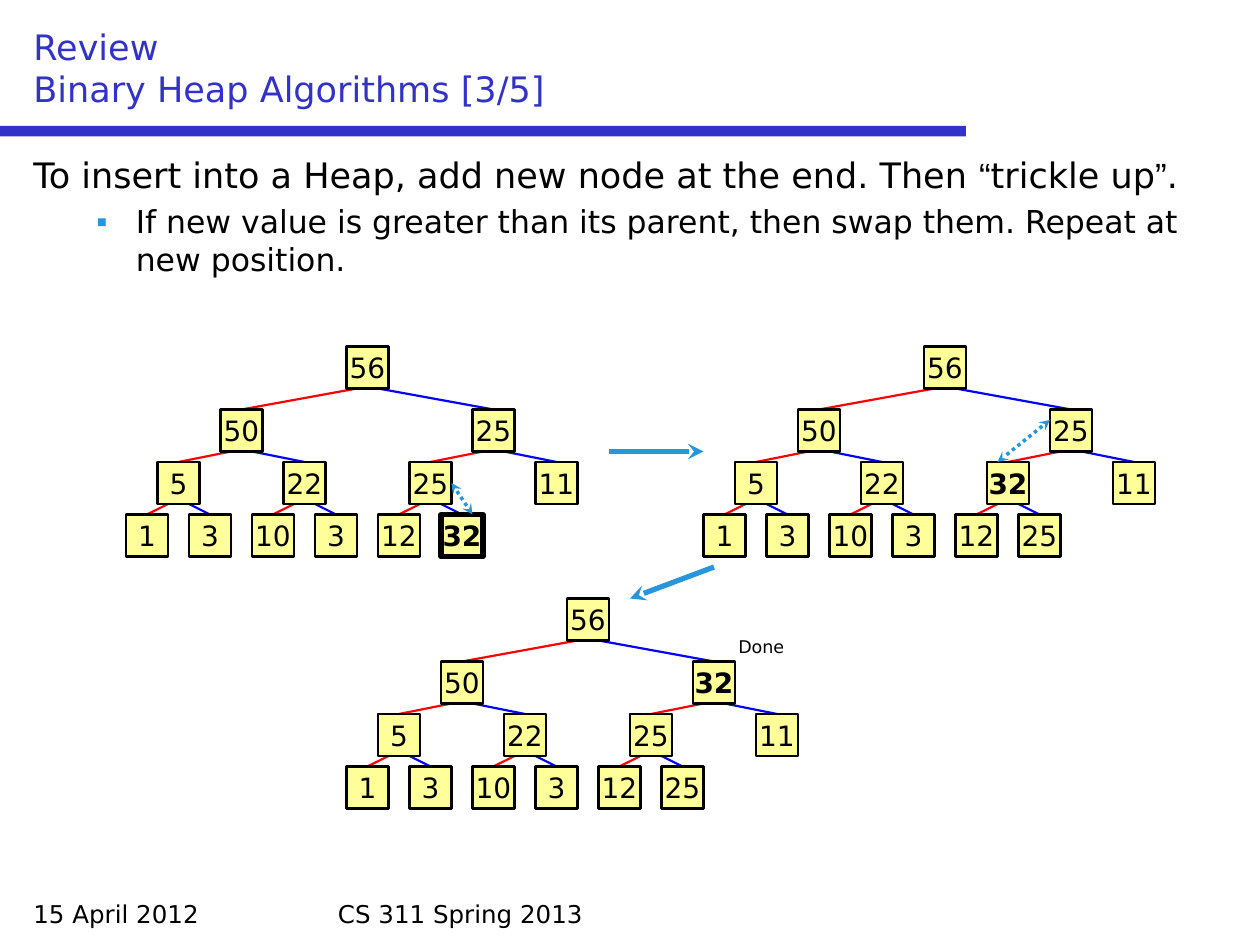
from pptx import Presentation
from pptx.dml.color import RGBColor
from pptx.enum.dml import MSO_LINE
from pptx.enum.shapes import MSO_CONNECTOR, MSO_SHAPE
from pptx.enum.text import MSO_ANCHOR, PP_ALIGN
from pptx.oxml.ns import qn
from pptx.util import Pt
from lxml.etree import SubElement

PX = 9525  # 96 px to the inch
COLORS = {
    "title": "3232C8", "text": "000000", "accent": "2896DC",
    "node": "FFFF99", "left": "FF0000", "right": "0000FF",
}
RGB = {name: RGBColor.from_string(value) for name, value in COLORS.items()}
FONT = "DejaVu Sans"


def write(p, text, size, color="text", **fmt):
    """Append a run to a paragraph; fmt holds further font attributes."""
    r = p.add_run()
    r.text = text
    r.font.color.rgb = RGB[color]
    for key, value in {"name": FONT, "size": Pt(size), **fmt}.items():
        setattr(r.font, key, value)


def add_line(start, end, color, width=1.25, arrows=(), dash=None):
    """Draw a line; arrows lists headEnd and/or tailEnd."""
    sp = s.shapes.add_connector(
        MSO_CONNECTOR.STRAIGHT, *(v * PX for v in (*start, *end)))
    sp.line.color.rgb = RGB[color]
    sp.line.width = Pt(width)
    if dash:
        sp.line.dash_style = dash
    ln = sp.line._get_or_add_ln()
    for arrow in arrows:
        SubElement(ln, qn(f"a:{arrow}"), type="stealth")
    SubElement(sp._element.spPr, qn("a:effectLst"))


prs = Presentation()
prs.slide_width, prs.slide_height = 960 * PX, 720 * PX
s = prs.slides.add_slide(prs.slide_layouts[6])

# Rule under the title
sp = s.shapes.add_shape(MSO_SHAPE.RECTANGLE, 0, 96 * PX, 736 * PX, 8 * PX)
sp.shadow.inherit = False
sp.fill.solid()
sp.fill.fore_color.rgb = RGB["title"]
sp.line.fill.background()

# Title, footers and the label beside the final tree
labels = [
    ((16, 16, 928, 72), "Review\vBinary Heap Algorithms [3/5]", 20, "title",
     MSO_ANCHOR.BOTTOM, PP_ALIGN.LEFT),
    ((16, 680, 224, 32), "15 April 2012", 14, "text",
     MSO_ANCHOR.TOP, PP_ALIGN.LEFT),
    ((248, 680, 464, 32), "CS 311 Spring 2013", 14, "text",
     MSO_ANCHOR.TOP, PP_ALIGN.LEFT),
    ((544, 480, 72, 26), "Done", 10, "text",
     MSO_ANCHOR.TOP, PP_ALIGN.CENTER),
]
for box, text, size, color, anchor, align in labels:
    tf = s.shapes.add_textbox(*(v * PX for v in box)).text_frame
    tf.word_wrap = True
    tf.vertical_anchor = anchor
    p = tf.paragraphs[0]
    p.alignment = align
    lines = text.split("\v")
    write(p, lines[0], size, color)
    for line in lines[1:]:
        p.add_line_break()
        write(p, line, size, color)

# Body text
tf = s.shapes.add_textbox(16 * PX, 112 * PX, 928 * PX, 560 * PX).text_frame
tf.word_wrap = True
p = tf.paragraphs[0]
for text, font in [
    ("To insert into a Heap, add new node at the end. Then ", FONT),
    ("“", "Arial"), ("trickle up", FONT), ("”", "Arial"), (".", FONT),
]:
    write(p, text, 20, name=font)

p = tf.add_paragraph()
p.level = 1
p.space_before = Pt(4)
pPr = p._p.get_or_add_pPr()
pPr.set("marL", str(78 * PX))
pPr.set("indent", str(-30 * PX))
SubElement(SubElement(pPr, qn("a:buClr")), qn("a:srgbClr"), val=COLORS["accent"])
SubElement(pPr, qn("a:buFont"), typeface="Arial")
SubElement(pPr, qn("a:buChar"), char="▪")
write(p, "If new value is greater than its parent, then swap them. "
         "Repeat at new position.", 18)

# Heaps, as arrays: the children of node i are 2i + 1 and 2i + 2
NODE = 32
LEVEL_Y = [0, 48, 88, 128]
CHILD_DX = [96, 48, 24]
INSERTED = 32
trees = [
    ((264, 264), [56, 50, 25, 5, 22, 25, 11, 1, 3, 10, 3, 12, 32]),
    ((704, 264), [56, 50, 25, 5, 22, 32, 11, 1, 3, 10, 3, 12, 25]),
    ((432, 456), [56, 50, 32, 5, 22, 25, 11, 1, 3, 10, 3, 12, 25]),
]
for (root_x, root_y), heap in trees:
    nodes = [(root_x, root_y)]
    for i in range(1, len(heap)):
        level = (i + 1).bit_length() - 1
        side, color = (-1, "left") if i % 2 else (1, "right")
        parent_x, parent_y = nodes[(i - 1) // 2]
        x = parent_x + side * CHILD_DX[level - 1]
        y = root_y + LEVEL_Y[level]
        nodes.append((x, y))
        add_line((parent_x + NODE // 2 + side * 8, parent_y + NODE),
                 (x + NODE // 2, y), color)

    for i, ((x, y), value) in enumerate(zip(nodes, heap)):
        is_new = value == INSERTED
        just_added = is_new and i == len(heap) - 1
        sp = s.shapes.add_shape(
            MSO_SHAPE.RECTANGLE, x * PX, y * PX, NODE * PX, NODE * PX)
        sp.shadow.inherit = False
        sp.fill.solid()
        sp.fill.fore_color.rgb = RGB["node"]
        sp.line.color.rgb = RGB["text"]
        sp.line.width = Pt(3 if just_added else 1.25)
        tf = sp.text_frame
        tf.word_wrap = False
        tf.vertical_anchor = MSO_ANCHOR.MIDDLE
        p = tf.paragraphs[0]
        p.alignment = PP_ALIGN.CENTER
        write(p, str(value), 16, bold=is_new)

# Steps from tree to tree, then the swaps
for start, end in [((464, 344), (536, 344)), ((544, 432), (480, 456))]:
    add_line(start, end, "accent", 3, ["tailEnd"])
for start, end in [((344, 368), (360, 392)), ((800, 320), (760, 352))]:
    add_line(start, end, "accent", 2, ["headEnd", "tailEnd"], MSO_LINE.ROUND_DOT)

prs.save("out.pptx")
